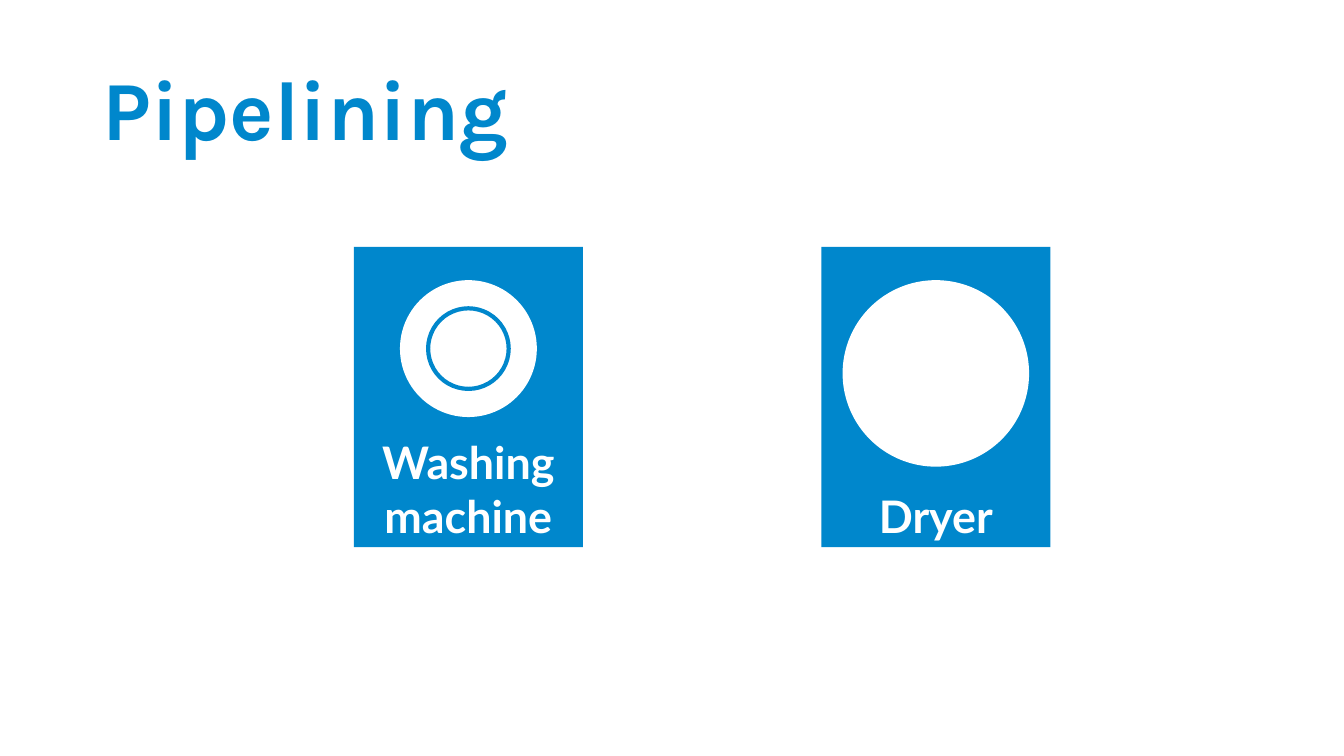
from dataclasses import dataclass

from pptx import Presentation
from pptx.dml.color import RGBColor
from pptx.enum.shapes import MSO_SHAPE
from pptx.enum.text import MSO_ANCHOR, PP_ALIGN
from pptx.util import Cm, Pt


@dataclass(frozen=True)
class Theme:
    blue: RGBColor = RGBColor(0x00, 0x87, 0xCC)
    white: RGBColor = RGBColor(0xFF, 0xFF, 0xFF)
    title_font: str = "Karla"
    label_font: str = "Lato"
    title_size: Pt = Pt(60)
    label_size: Pt = Pt(32)


theme = Theme()
deck = Presentation()
deck.slide_width, deck.slide_height = Cm(33.87), Cm(19.05)
page = deck.slides.add_slide(deck.slide_layouts[6])


def add_plain_shape(kind, left, top, width, height, fill):
    shape = page.shapes.add_shape(kind, Cm(left), Cm(top), Cm(width), Cm(height))
    shape.shadow.inherit = False
    shape.fill.solid()
    shape.fill.fore_color.rgb = fill
    shape.line.fill.background()
    return shape


def write(frame, text, font_name, size, color):
    frame.word_wrap = True
    paragraph = frame.paragraphs[0]
    paragraph.text = text
    font = paragraph.font
    font.name, font.size, font.bold = font_name, size, True
    font.color.rgb = color
    return paragraph


title = page.shapes.add_textbox(Cm(2.33), Cm(1.01), Cm(29.21), Cm(3.68)).text_frame
title.vertical_anchor = MSO_ANCHOR.MIDDLE
heading = write(title, "Pipelining", theme.title_font, theme.title_size, theme.blue)
heading.line_spacing = 0.9

machine_top, machine_width, machine_height = 6.22, 5.77, 7.57
door_top = 7.06
# label, left edge, door diameter, diameter of the inner ring if there is one
machines = [
    ("Washing machine", 8.92, 3.45, 2.03),
    ("Dryer", 20.7, 4.7, None),
]

for label, left, door, ring in machines:
    body = add_plain_shape(MSO_SHAPE.RECTANGLE, left, machine_top,
                           machine_width, machine_height, theme.blue)
    body.text_frame.vertical_anchor = MSO_ANCHOR.BOTTOM
    caption = write(body.text_frame, label, theme.label_font,
                    theme.label_size, theme.white)
    caption.alignment = PP_ALIGN.CENTER

    center_x = left + machine_width / 2
    center_y = door_top + door / 2
    add_plain_shape(MSO_SHAPE.OVAL, center_x - door / 2, door_top,
                    door, door, theme.white)
    if ring:
        window = add_plain_shape(MSO_SHAPE.OVAL, center_x - ring / 2,
                                 center_y - ring / 2, ring, ring, theme.white)
        window.line.color.rgb = theme.blue
        window.line.width = Pt(3)

deck.save("out.pptx")
